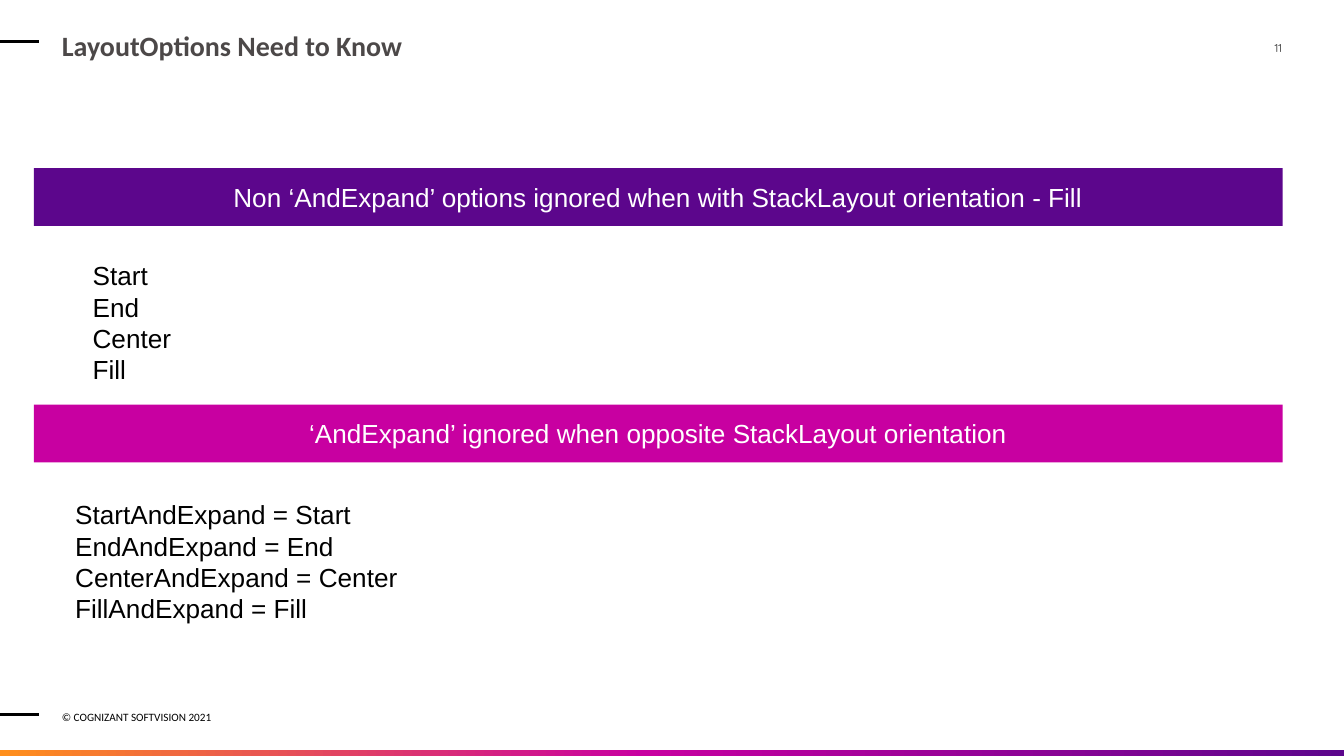
from copy import deepcopy
from lxml import etree
from pptx import Presentation
from pptx.dml.color import RGBColor
from pptx.enum.shapes import MSO_CONNECTOR, MSO_SHAPE
from pptx.enum.text import MSO_ANCHOR, MSO_AUTO_SIZE, PP_ALIGN
from pptx.oxml.ns import qn
from pptx.util import Cm, Pt

LINE = MSO_CONNECTOR.STRAIGHT
RECT = MSO_SHAPE.RECTANGLE
TOP, MIDDLE = MSO_ANCHOR.TOP, MSO_ANCHOR.MIDDLE
NONE, GROW = MSO_AUTO_SIZE.NONE, MSO_AUTO_SIZE.SHAPE_TO_FIT_TEXT
LEFT, CENTER, RIGHT = PP_ALIGN.LEFT, PP_ALIGN.CENTER, PP_ALIGN.RIGHT


def color(code):
    return RGBColor.from_string(code)


def write(shape, lines, face, size, ink, align=LEFT, anchor=MIDDLE, pad=0, fit=NONE):
    frame = shape.text_frame
    frame.text = "\n".join(lines)
    frame.word_wrap = True
    frame.auto_size = fit
    frame.vertical_anchor = anchor
    frame.margin_left = frame.margin_right = Cm(pad)
    frame.margin_top = frame.margin_bottom = Cm(pad / 2)
    for para in frame.paragraphs:
        para.alignment = align
        para.space_before = Pt(0)
        para.font.name = face
        para.font.size = Pt(size)
        para.font.color.rgb = color(ink)


deck = Presentation()
deck.slide_width, deck.slide_height = Cm(25.4), Cm(14.29)
slide = deck.slides.add_slide(deck.slide_layouts[3])
shapes = slide.shapes
title, first, second = slide.placeholders

title.left, title.top, title.width, title.height = Cm(1.17), Cm(0.48), Cm(20.37), Cm(0.74)
write(title, ["LayoutOptions Need to Know"], "Calibri", 15, "4C4848")
title.text_frame.paragraphs[0].font.bold = True

page = shapes.add_textbox(Cm(22.71), Cm(0.79), Cm(1.52), Cm(1.09))
write(page, ["11"], "Quicksand", 6, "212121", RIGHT, TOP)
foot = shapes.add_textbox(Cm(1.17), Cm(13.34), Cm(5.64), Cm(0.41))
write(foot, ["© COGNIZANT SOFTVISION 2021"], "Calibri", 6, "000000")

for y in (0.79, 13.51):
    rule = shapes.add_connector(LINE, 0, Cm(y), Cm(0.74), Cm(y))
    rule.line.color.rgb = color("000000")
    rule.line.width = Pt(1.5)
    etree.SubElement(rule._element.spPr, qn("a:effectLst"))

strip = shapes.add_shape(RECT, 0, Cm(14.17), Cm(25.4), Cm(0.12))
strip.shadow.inherit = False
strip.line.fill.background()
strip.fill.gradient()
strip.fill.gradient_angle = 0
stops = strip._element.spPr.find(".//" + qn("a:gsLst"))
stops.append(deepcopy(stops[0]))
tints = [(0, "FF8F1C"), (0.48, "C800A1"), (1, "5C068C")]
for stop, (place, tint) in zip(strip.fill.gradient_stops, tints):
    stop.position = place
    stop.color.rgb = color(tint)

bands = [
    (3.18, "5C068C", "Non ‘AndExpand’ options ignored when with StackLayout orientation - Fill"),
    (7.65, "C800A1", "‘AndExpand’ ignored when opposite StackLayout orientation"),
]
for y, tint, text in bands:
    band = shapes.add_shape(RECT, Cm(0.64), Cm(y), Cm(23.6), Cm(1.09))
    band.shadow.inherit = False
    band.fill.solid()
    band.fill.fore_color.rgb = color(tint)
    band.line.fill.background()
    write(band, [text], "Arial", 14, "FFFFFF", CENTER, pad=0.25)

names = ["Start", "End", "Center", "Fill"]
pairs = [f"{name}AndExpand = {name}" for name in names]
lists = [(first, 1.5, 4.78, 2.79, names), (second, 1.17, 9.3, 10.8, pairs)]
for box, x, y, width, lines in lists:
    box.left, box.top, box.width, box.height = Cm(x), Cm(y), Cm(width), Cm(3.33)
    box.text_frame.text = "\n".join(lines)
    write(box, lines, "Arial", 14, "000000", anchor=TOP, pad=0.25, fit=GROW)
    for para in box.text_frame.paragraphs:
        props = para._p.get_or_add_pPr()
        props.set("marL", "0")
        props.set("indent", "0")
        props.find(qn("a:defRPr")).addprevious(etree.Element(qn("a:buNone")))

deck.save("out.pptx")
